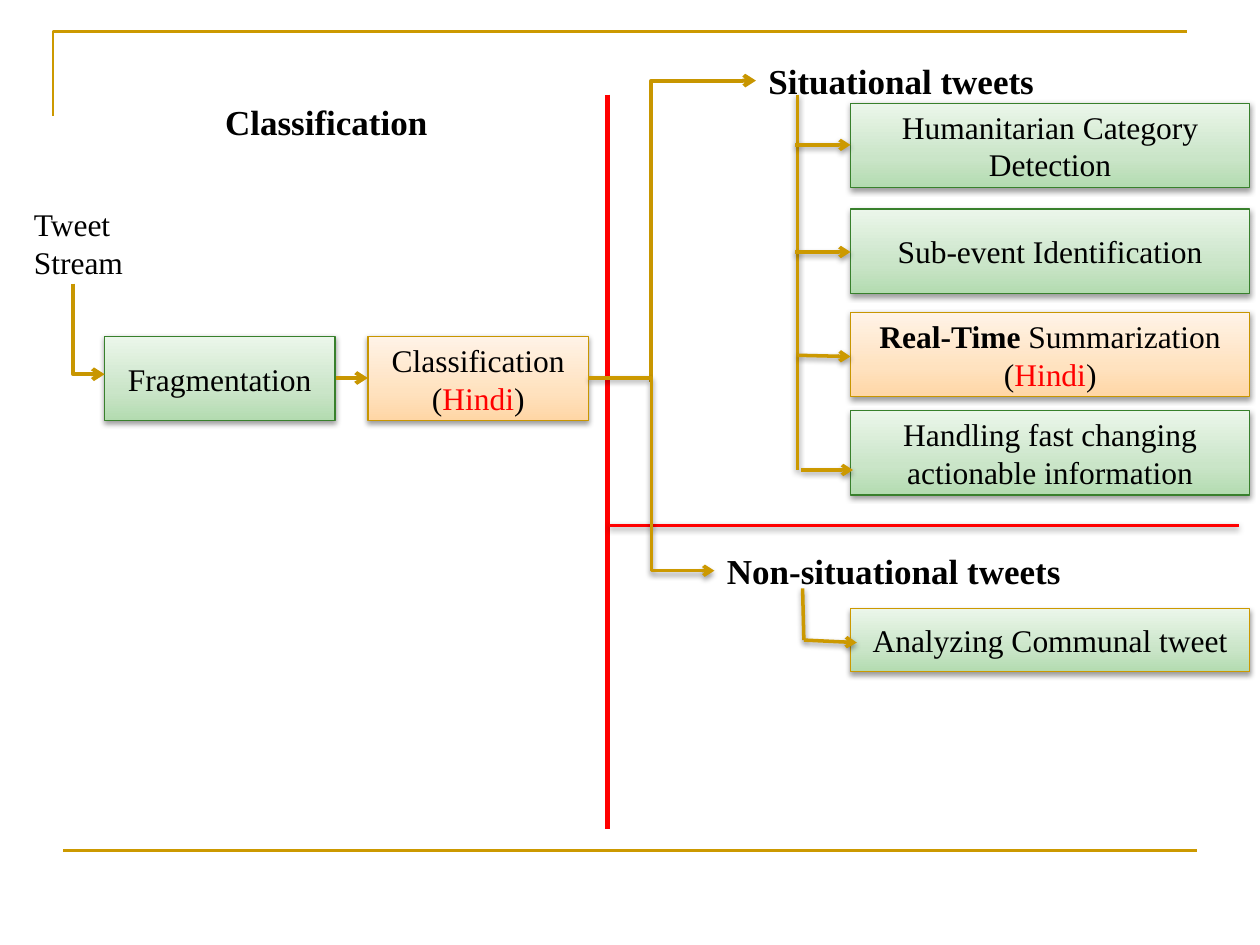
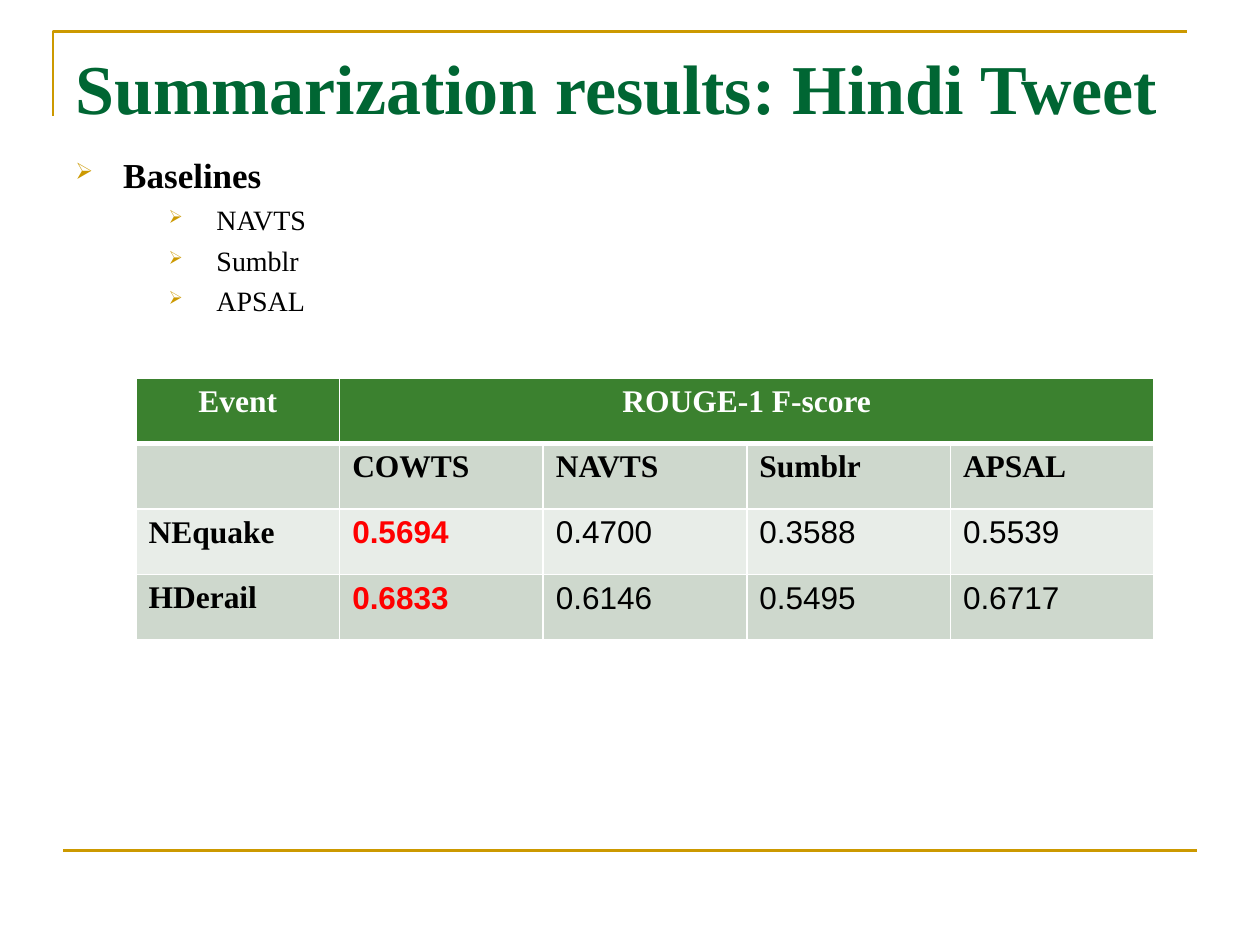
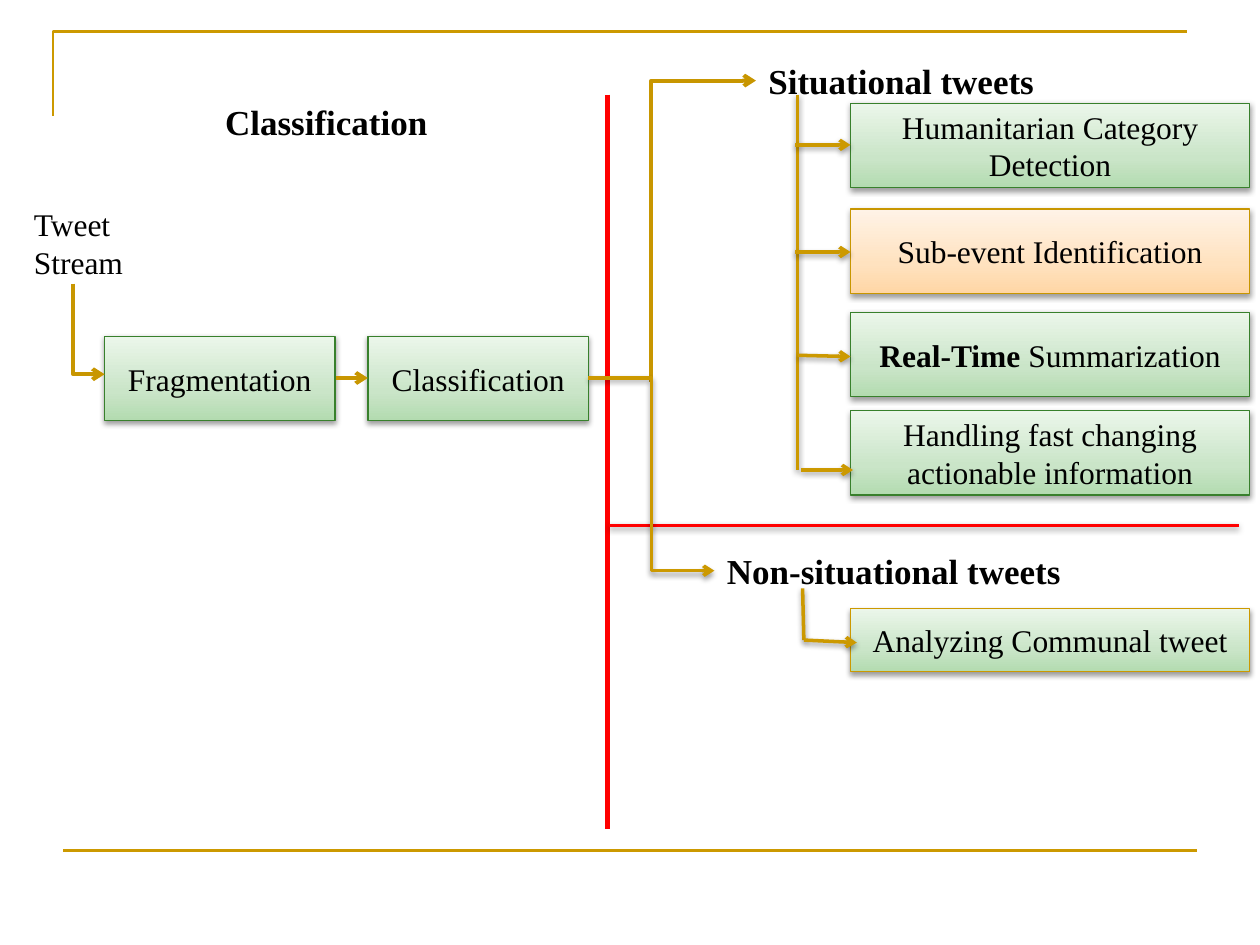
from copy import deepcopy

from lxml.etree import SubElement
from pptx import Presentation
from pptx.dml.color import RGBColor
from pptx.enum.shapes import MSO_CONNECTOR as Link, MSO_SHAPE as Preset
from pptx.enum.text import MSO_ANCHOR as Anchor, MSO_AUTO_SIZE as AutoSize, PP_ALIGN as Align
from pptx.oxml.ns import qn
from pptx.util import Inches, Pt

GOLD, DARK_GOLD, RED = "CC9900", "C89600", "FF0000"
BLACK, WHITE, TITLE_GREEN = "000000", "FFFFFF", "006633"
SERIF, SANS = "Times New Roman", "Arial"
GREEN_BOX = {"stops": ("B3DBB0", "CAE5C8", "EBF6EA"), "edge": "38802C"}
ORANGE_BOX = {"stops": ("FFD6A5", "FFE2BF", "FFF3E7"), "edge": DARK_GOLD}
GOLD_EDGED_BOX = {**GREEN_BOX, "edge": GOLD}
BODY = {"size": Pt(18), "name": SERIF, "bold": False}
HEADING = {"size": Pt(20), "name": SERIF, "bold": True}
FLOW = {"color": DARK_GOLD, "width": 2.25, "arrow": True}
BRANCH = {"color": GOLD, "width": 2, "shadow": True}
BRANCH_ARROW = {**BRANCH, "arrow": True}

TASKS = [
    (0.82, "Humanitarian Category Detection", (6.31, 1.15), (6.75, 1.15)),
    (1.66, "Sub-event Identification", (6.31, 2), (6.75, 2)),
    (2.48, "Real-Time Summarization", (6.33, 2.82), (6.75, 2.83)),
    (3.26, "Handling fast changing actionable information", (6.36, 3.73), (6.77, 3.73)),
]
SCORES = [
    ("Event", "ROUGE-1 F-score", "", "", ""),
    ("", "COWTS", "NAVTS", "Sumblr", "APSAL"),
    ("NEquake", "0.5694", "0.4700", "0.3588", "0.5539"),
    ("HDerail", "0.6833", "0.6146", "0.5495", "0.6717"),
]
ROW_FILLS = ("3B812F", "CED8CD", "E8EDE8", "CED8CD")


def rgb(hex_color):
    """Turn a hex string into a colour."""
    return RGBColor.from_string(hex_color)


def place(*lengths):
    """Convert lengths in inches."""
    return [Inches(length) for length in lengths]


def apply(target, values):
    """Set each named attribute of the target."""
    for name, value in values.items():
        setattr(target, name, value)


def write(paragraph, text, style, color=BLACK):
    """Add one formatted run to a paragraph."""
    run = paragraph.add_run()
    run.text = text
    apply(run.font, style)
    run.font.color.rgb = rgb(color)


def stroke(line, color, width):
    """Give a line its colour and width."""
    line.color.rgb = rgb(color)
    line.width = Pt(width)


def set_effects(properties, shadow):
    """Replace the theme shadow by none or by a soft drop shadow."""
    effects = properties.find(qn("a:effectLst"))
    if effects is None:
        effects = SubElement(properties, qn("a:effectLst"))
    if shadow:
        drop = SubElement(effects, qn("a:outerShdw"), blurRad="40000", dist="20000",
                          dir="5400000", rotWithShape="0")
        black = SubElement(drop, qn("a:srgbClr"), val=BLACK)
        SubElement(black, qn("a:alpha"), val="38000")


def connect(slide, start, end, color, width, arrow=False, shadow=False, kind=Link.STRAIGHT):
    """Draw a line between two points."""
    link = slide.shapes.add_connector(kind, *place(*start, *end))
    stroke(link.line, color, width)
    properties = link.element.spPr
    if arrow:
        SubElement(properties.find(qn("a:ln")), qn("a:tailEnd"), type="arrow")
    set_effects(properties, shadow)
    return link


def connect_corner(slide, start, end):
    """Draw a flow arrow that runs vertically, then turns right."""
    (x1, y1), (x2, y2) = start, end
    middle_x, middle_y = (x1 + x2) / 2, (y1 + y2) / 2
    half_run, half_rise = (x2 - x1) / 2, (y2 - y1) / 2
    link = connect(slide, (middle_x + half_rise, middle_y - half_run),
                   (middle_x - half_rise, middle_y + half_run), kind=Link.ELBOW, **FLOW)
    properties = link.element.spPr
    properties.find(qn("a:xfrm")).set("rot", "16200000")
    properties.find(qn("a:prstGeom")).set("prst", "bentConnector2")


def add_box(slide, area, runs, look):
    """Add a gradient box with centred runs of text."""
    box = slide.shapes.add_shape(Preset.RECTANGLE, *place(*area))
    box.shadow.inherit = False
    box.fill.gradient()
    box.fill.gradient_angle = 90
    stop_list = next(box.element.spPr.iter(qn("a:gsLst")))
    stop_list.insert(1, deepcopy(stop_list[0]))
    for stop, color, position in zip(box.fill.gradient_stops, look["stops"], (0, 0.35, 1)):
        stop.color.rgb = rgb(color)
        stop.position = position
    stroke(box.line, look["edge"], 0.75)
    set_effects(box.element.spPr, True)
    frame = box.text_frame
    apply(frame, {"word_wrap": True, "vertical_anchor": Anchor.MIDDLE})
    frame.paragraphs[0].alignment = Align.CENTER
    for text, style, color in runs:
        write(frame.paragraphs[0], text, style, color)


def add_label(slide, area, lines, style, wrap=True, align=Align.LEFT):
    """Add a text box with one paragraph per line."""
    frame = slide.shapes.add_textbox(*place(*area)).text_frame
    apply(frame, {"word_wrap": wrap, "auto_size": AutoSize.SHAPE_TO_FIT_TEXT})
    for index, line in enumerate(lines):
        paragraph = frame.add_paragraph() if index else frame.paragraphs[0]
        paragraph.alignment = align
        write(paragraph, line, style)


def add_plate(slide, area, text):
    """Add a heading on a white plate."""
    plate = slide.shapes.add_shape(Preset.RECTANGLE, *place(*area))
    plate.shadow.inherit = False
    plate.fill.solid()
    plate.fill.fore_color.rgb = rgb(WHITE)
    stroke(plate.line, WHITE, 2)
    apply(plate.text_frame, {"word_wrap": True, "vertical_anchor": Anchor.TOP})
    heading = plate.text_frame.paragraphs[0]
    heading.alignment = Align.LEFT
    write(heading, text, HEADING)


def add_slide(deck, layout):
    """Add a slide with the shared gold corner and bottom rule."""
    slide = deck.slides.add_slide(deck.slide_layouts[layout])
    builder = slide.shapes.build_freeform(*place(0.42, 0.92))
    builder.add_line_segments([place(0.42, 0.25), place(9.42, 0.25)], close=False)
    corner = builder.convert_to_shape()
    corner.shadow.inherit = False
    corner.fill.background()
    stroke(corner.line, GOLD, 1.5)
    connect(slide, (0.5, 6.75), (9.5, 6.75), GOLD, 1.5)
    return slide


def task_runs(text, language):
    """Split a task name into its runs, with an optional language in red."""
    lead = "Real-Time" if text.startswith("Real-Time") else ""
    runs = [(lead, {**BODY, "bold": True}, BLACK)] if lead else []
    runs.append((text[len(lead):] + (" (" if language else ""), BODY, BLACK))
    if language:
        runs += [(language, BODY, RED), (")", BODY, BLACK)]
    return runs


def add_pipeline(deck, highlighted, language=""):
    """Add the tweet pipeline with some steps highlighted."""
    slide = add_slide(deck, 6)

    def add_step(area, text):
        """Add a step box in its current state."""
        active = text in highlighted
        add_box(slide, area, task_runs(text, language if active else ""),
                ORANGE_BOX if active else GREEN_BOX)

    add_step((0.83, 2.67, 1.83, 0.67), "Fragmentation")
    add_step((2.92, 2.67, 1.75, 0.67), "Classification")
    connect_corner(slide, (0.58, 2.25), (0.83, 2.97))
    connect(slide, (2.67, 3), (2.92, 3), **FLOW)
    add_label(slide, (0.17, 1.58, 0.92, 0.71), ["Tweet", "Stream"], BODY, wrap=False)
    connect_corner(slide, (5.17, 3.03), (6, 0.64))
    connect(slide, (4.82, 0.75), (4.82, 6.58), RED, 3)
    add_label(slide, (1.68, 0.75, 1.82, 0.44), ["Classification"], HEADING, False, Align.CENTER)
    add_label(slide, (6, 0.42, 2.33, 0.44), ["Situational tweets"], HEADING)

    connect(slide, (4.83, 4.17), (9.83, 4.17), RED, 2, shadow=True)
    add_plate(slide, (5.67, 4.31, 3.5, 0.44), "Non-situational tweets")
    connect(slide, (4.67, 3), (5.67, 4.53), kind=Link.ELBOW, **BRANCH_ARROW)
    add_box(slide, (6.75, 4.83, 3.17, 0.5), task_runs("Analyzing Communal tweet", ""),
            GOLD_EDGED_BOX)
    connect(slide, (6.37, 4.67), (6.38, 5.08), **BRANCH)
    connect(slide, (6.38, 5.08), (6.8, 5.1), **BRANCH_ARROW)

    connect(slide, (6.33, 0.75), (6.33, 3.73), **BRANCH)
    for top, text, start, end in TASKS:
        add_step((6.75, top, 3.17, 0.67), text)
        connect(slide, start, end, **BRANCH_ARROW)


def add_title(slide, text):
    """Place and format the slide title."""
    title = slide.shapes.title
    apply(title, dict(zip(("left", "top", "width", "height"), place(0.5, 0.3, 9, 0.78))))
    apply(title.text_frame, {"word_wrap": True, "auto_size": AutoSize.NONE,
                             "vertical_anchor": Anchor.MIDDLE})
    heading = title.text_frame.paragraphs[0]
    heading.alignment = Align.LEFT
    write(heading, text, {"size": Pt(40), "name": SERIF, "bold": True}, TITLE_GREEN)


def add_bullet(paragraph, text, style, margin):
    """Fill a paragraph with a gold arrowhead bullet and text."""
    properties = paragraph._p.get_or_add_pPr()
    properties.set("marL", str(Inches(margin)))
    properties.set("indent", str(Inches(-0.38)))
    tint = SubElement(properties, qn("a:buClr"))
    SubElement(tint, qn("a:srgbClr"), val=GOLD)
    SubElement(properties, qn("a:buSzPct"), val="65000")
    SubElement(properties, qn("a:buChar"), char="➢")
    paragraph.alignment = Align.LEFT
    write(paragraph, text, style)


def add_baselines(slide):
    """List the baseline methods."""
    frame = slide.shapes.add_textbox(*place(0.5, 1.17, 9, 1.42)).text_frame
    frame.word_wrap = True
    add_bullet(frame.paragraphs[0], "Baselines", HEADING, 0.38)
    for method in SCORES[1][2:]:
        paragraph = frame.add_paragraph()
        add_bullet(paragraph, method, {**BODY, "size": Pt(16)}, 1.12)
        paragraph.level = 1
        paragraph.space_before = Pt(4)


def add_borders(cell, row):
    """Draw white cell borders, thicker under the header row."""
    for side in "LRTB":
        thick = (row, side) in ((0, "B"), (1, "T"))
        border = SubElement(cell._tc.get_or_add_tcPr(), qn(f"a:ln{side}"),
                            w=str(Pt(3 if thick else 1)))
        paint = SubElement(border, qn("a:solidFill"))
        SubElement(paint, qn("a:srgbClr"), val=WHITE)


def add_scores(slide):
    """Add the table of scores."""
    area = place(1.08, 3, 8.08, 2.08)
    table = slide.shapes.add_table(len(SCORES), len(SCORES[0]), *area).table
    for row, values in enumerate(SCORES):
        for column, value in enumerate(values):
            cell = table.cell(row, column)
            add_borders(cell, row)
            cell.fill.solid()
            cell.fill.fore_color.rgb = rgb(ROW_FILLS[row])
            if not value:
                continue
            is_score = row > 1 and column > 0
            is_best = is_score and column == 1
            style = {**BODY, "name": SANS if is_score else SERIF,
                     "bold": is_best or not is_score}
            color = WHITE if row == 0 else RED if is_best else BLACK
            paragraph = cell.text_frame.paragraphs[0]
            paragraph.alignment = Align.LEFT if row else Align.CENTER
            write(paragraph, value, style, color)
    table.cell(0, 1).merge(table.cell(0, 4))


def add_results(deck):
    """Add the slide of summarization results."""
    slide = add_slide(deck, 5)
    add_title(slide, "Summarization results: Hindi Tweet")
    add_baselines(slide)
    add_scores(slide)


def main():
    """Build and save the deck."""
    deck = Presentation()
    deck.slide_width, deck.slide_height = place(10, 7.5)
    add_pipeline(deck, ("Classification", "Real-Time Summarization"), "Hindi")
    add_results(deck)
    add_pipeline(deck, ("Sub-event Identification",))
    deck.save("out.pptx")


if __name__ == "__main__":
    main()
